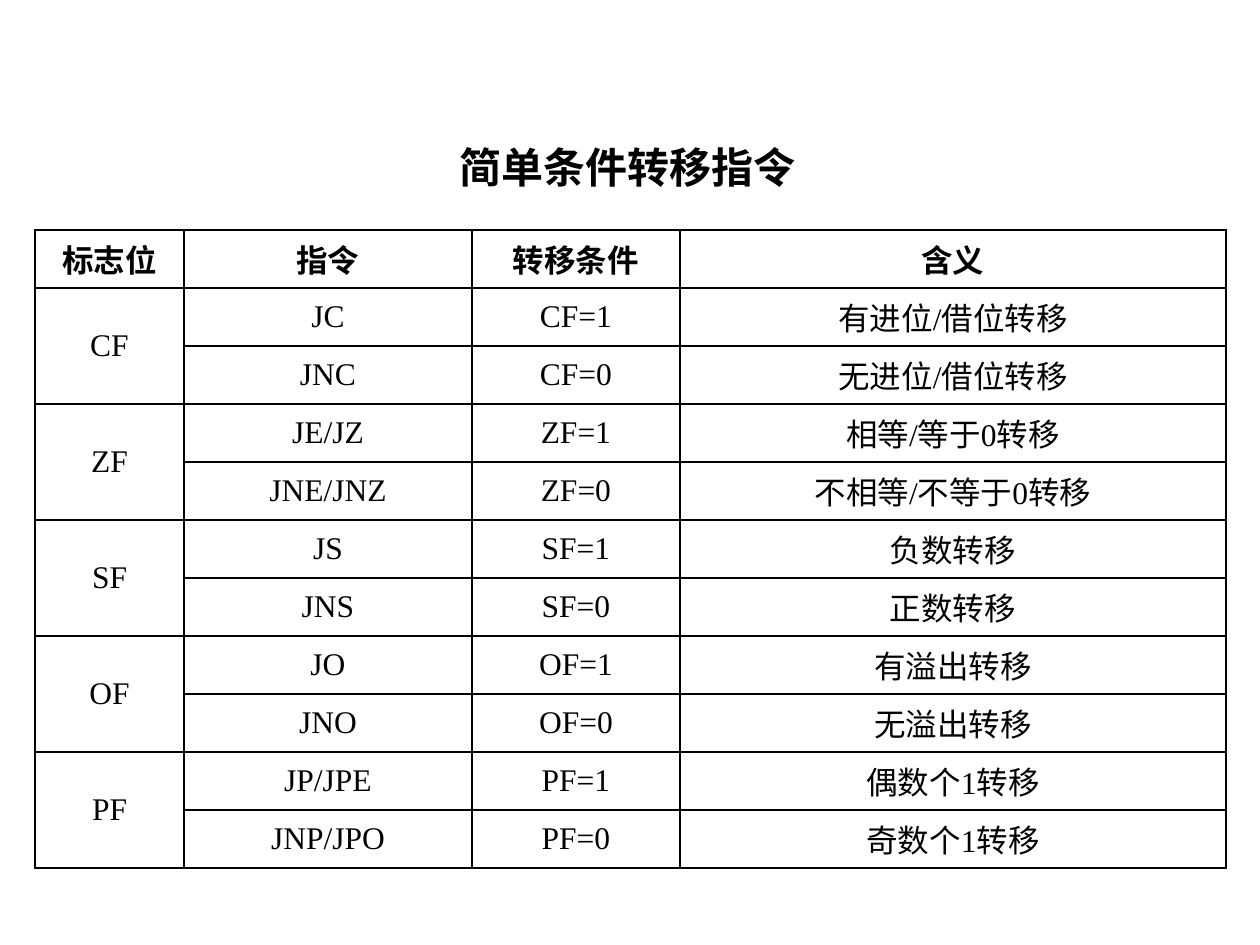
from typing import NamedTuple

from lxml import etree
from pptx import Presentation
from pptx.dml.color import RGBColor
from pptx.enum.text import MSO_ANCHOR, MSO_AUTO_SIZE, PP_ALIGN
from pptx.oxml.ns import qn
from pptx.util import Emu, Pt

MIDDLE = MSO_ANCHOR.MIDDLE
GROW = MSO_AUTO_SIZE.SHAPE_TO_FIT_TEXT
LEFT, CENTER = PP_ALIGN.LEFT, PP_ALIGN.CENTER

PX_PER_INCH = 126
BLACK, WHITE = "000000", "FFFFFF"
BORDER_PT = 1

TABLE_LEFT, TABLE_TOP = 35, 230
COLUMN_WIDTHS = (149, 288, 208, 546)
ROW_HEIGHT = 58
HEADINGS = ("标志位", "指令", "转移条件", "含义")


class Jump(NamedTuple):
    mnemonic: str
    meaning: str


class Flag(NamedTuple):
    name: str
    when_set: Jump
    when_clear: Jump


FLAGS = (
    Flag("CF", Jump("JC", "有进位/借位转移"), Jump("JNC", "无进位/借位转移")),
    Flag("ZF", Jump("JE/JZ", "相等/等于0转移"), Jump("JNE/JNZ", "不相等/不等于0转移")),
    Flag("SF", Jump("JS", "负数转移"), Jump("JNS", "正数转移")),
    Flag("OF", Jump("JO", "有溢出转移"), Jump("JNO", "无溢出转移")),
    Flag("PF", Jump("JP/JPE", "偶数个1转移"), Jump("JNP/JPO", "奇数个1转移")),
)


def px(length: int) -> Emu:
    return Emu(round(length * 914400 / PX_PER_INCH))


def color(hex_code: str) -> RGBColor:
    return RGBColor.from_string(hex_code)


def write(frame, text: str, *, size: int = 18, font: str = "Times New Roman",
          bold: bool = False, align=CENTER) -> None:
    paragraph = frame.paragraphs[0]
    paragraph.alignment = align
    run = paragraph.add_run()
    run.text = text
    run.font.size = Pt(size)
    run.font.name = font
    run.font.bold = bold
    run.font.color.rgb = color(BLACK)


def style_cell(cell) -> None:
    properties = cell._tc.get_or_add_tcPr()
    for side in ("a:lnL", "a:lnR", "a:lnT", "a:lnB"):
        border = etree.SubElement(properties, qn(side), w=str(Pt(BORDER_PT)))
        fill = etree.SubElement(border, qn("a:solidFill"))
        etree.SubElement(fill, qn("a:srgbClr"), val=BLACK)
    cell.fill.solid()
    cell.fill.fore_color.rgb = color(WHITE)
    cell.vertical_anchor = MIDDLE


def add_title(slide) -> None:
    frame = slide.shapes.add_textbox(px(447), px(135), px(367), px(63)).text_frame
    frame.word_wrap = False
    frame.auto_size = GROW
    write(frame, "简单条件转移指令", size=24, font="Calibri", bold=True, align=LEFT)


def add_jump_table(slide) -> None:
    row_count = 1 + 2 * len(FLAGS)
    table = slide.shapes.add_table(
        row_count, len(COLUMN_WIDTHS), px(TABLE_LEFT), px(TABLE_TOP),
        px(sum(COLUMN_WIDTHS)), px(ROW_HEIGHT * row_count)).table
    for column, width in zip(table.columns, COLUMN_WIDTHS):
        column.width = px(width)
    for row in table.rows:
        row.height = px(ROW_HEIGHT)
    for cell in table.iter_cells():
        style_cell(cell)

    # Header row
    for column, heading in enumerate(HEADINGS):
        write(table.cell(0, column).text_frame, heading, bold=True)

    # Two rows for each flag: set, then clear
    for index, flag in enumerate(FLAGS):
        first_row = 1 + 2 * index
        flag_cell = table.cell(first_row, 0)
        flag_cell.merge(table.cell(first_row + 1, 0))
        write(flag_cell.text_frame, flag.name)
        for offset, (jump, bit) in enumerate(((flag.when_set, 1), (flag.when_clear, 0))):
            entries = (jump.mnemonic, f"{flag.name}={bit}", jump.meaning)
            for column, entry in enumerate(entries, start=1):
                write(table.cell(first_row + offset, column).text_frame, entry)


def main() -> None:
    presentation = Presentation()
    presentation.slide_width = px(1260)
    presentation.slide_height = px(945)
    slide = presentation.slides.add_slide(presentation.slide_layouts[6])
    add_title(slide)
    add_jump_table(slide)
    presentation.save("out.pptx")


if __name__ == "__main__":
    main()
